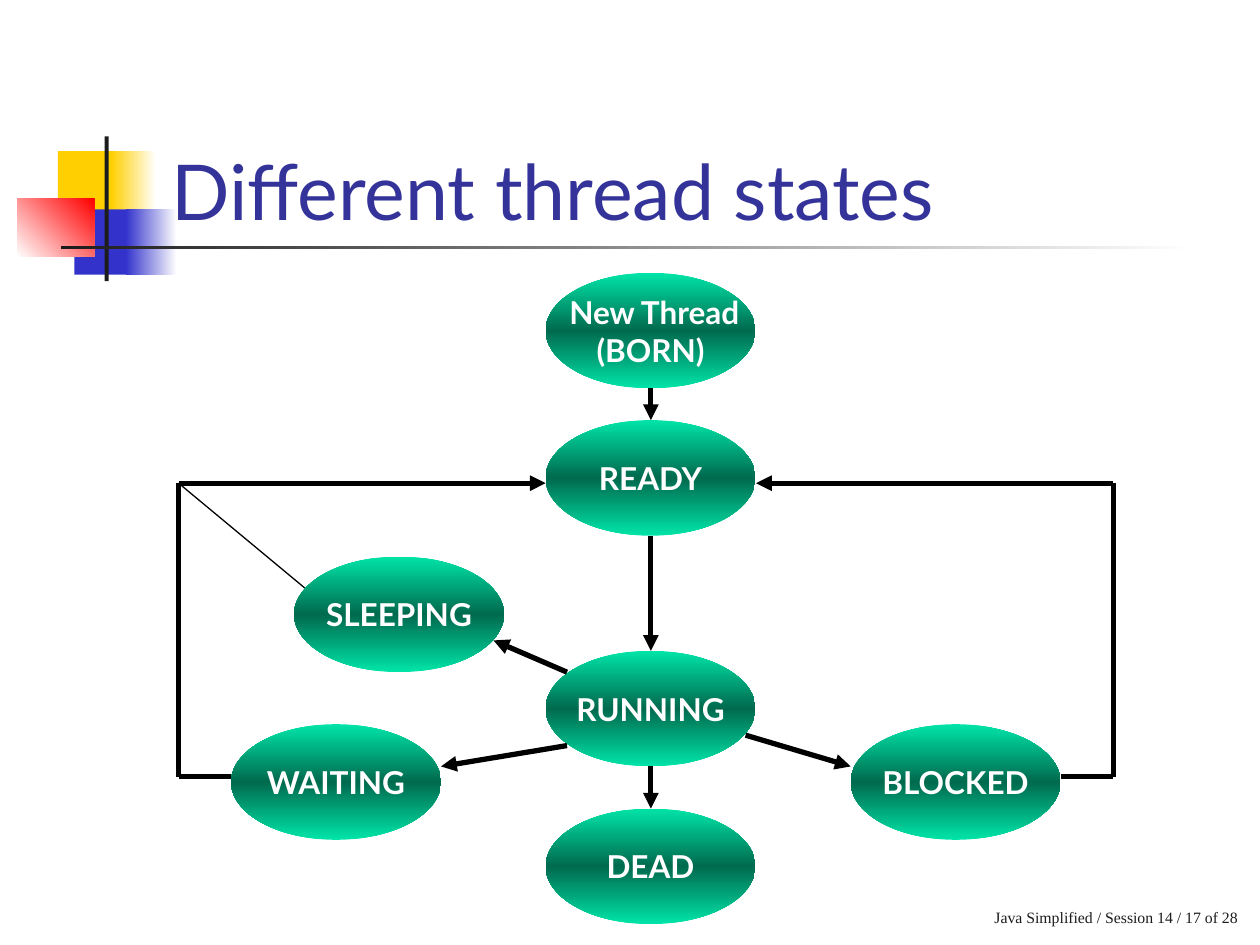
from lxml.etree import SubElement
from pptx import Presentation
from pptx.dml.color import RGBColor
from pptx.enum.shapes import MSO_CONNECTOR as Connector, MSO_SHAPE as Shape
from pptx.enum.text import MSO_ANCHOR as Anchor, MSO_AUTO_SIZE as AutoSize, PP_ALIGN as Align
from pptx.oxml.ns import qn
from pptx.util import Cm, Pt

rgb = RGBColor.from_string


def paint(shape, colors, angle=0):
    shape.shadow.inherit = False
    shape.line.fill.background()
    if len(colors) == 1:
        shape.fill.solid()
        shape.fill.fore_color.rgb = rgb(colors[0])
        return
    shape.fill.gradient()
    gradient = shape._element.spPr.find(qn("a:gradFill"))
    stops = gradient.find(qn("a:gsLst"))
    stops.clear()
    for index, color in enumerate(colors):
        position = index * 100000 // (len(colors) - 1)
        stop = SubElement(stops, qn("a:gs"), pos=str(position))
        SubElement(stop, qn("a:srgbClr"), val=color)
    gradient.find(qn("a:lin")).set("ang", str(angle * 60000))


def add_run(paragraph, text, size, font, color, bold=False):
    run = paragraph.add_run()
    run.text = text
    run.font.size = Pt(size)
    run.font.name = font
    run.font.bold = bold
    run.font.color.rgb = rgb(color)


presentation = Presentation()
presentation.slide_width = Cm(25.4)
presentation.slide_height = Cm(19.05)
slide = presentation.slides.add_slide(presentation.slide_layouts[5])

decorations = [
    (1.17, 3.05, 1.22, 1.32, ["FFCF01"], 0),
    (2.24, 3.05, 0.91, 1.32, ["FFCF01", "FFFFFF"], 0),
    (1.5, 4.22, 1.17, 1.32, ["3333CC"], 0),
    (2.54, 4.22, 1.02, 1.32, ["3333CC", "FFFFFF"], 0),
    (0.35, 4.01, 1.55, 1.17, ["FFFFFF", "FF0000"], 315),
    (2.11, 2.75, 0.08, 2.92, ["1C1C1C"], 0),
    (1.23, 4.95, 22.86, 0.08, ["1C1C1C", "FFFFFF"], 0),
]
for left, top, width, height, colors, angle in decorations:
    block = slide.shapes.add_shape(Shape.RECTANGLE, Cm(left), Cm(top), Cm(width), Cm(height))
    paint(block, colors, angle)

footer = slide.shapes.add_textbox(Cm(13.77), Cm(17.58), Cm(11.43), Cm(1.27))
footer.text_frame.word_wrap = True
footer.text_frame.vertical_anchor = Anchor.BOTTOM
paragraph = footer.text_frame.paragraphs[0]
paragraph.alignment = Align.RIGHT
paragraph.space_before = Pt(2.2)
add_run(paragraph, " ", 14, "Times New Roman", "1C1C1C")
add_run(paragraph, "Java Simplified / Session 14 / 17 of 28", 9, "Times New Roman", "1C1C1C")

title = slide.shapes.title
title.left, title.top, title.width, title.height = Cm(3.2), Cm(1.7), Cm(21.64), Cm(3.18)
title.text_frame.auto_size = AutoSize.NONE
title.text_frame.vertical_anchor = Anchor.BOTTOM
paragraph = title.text_frame.paragraphs[0]
paragraph.alignment = Align.LEFT
add_run(paragraph, "Different thread states", 44, "Lato", "333399")

states = [
    (11, 5.5, [" New Thread", "(BORN)"]),
    (11, 8.47, ["READY"]),
    (11, 13.12, ["RUNNING"]),
    (11, 16.3, ["DEAD"]),
    (5.93, 11.22, ["SLEEPING"]),
    (4.66, 14.6, ["WAITING"]),
    (17.15, 14.6, ["BLOCKED"]),
]
for left, top, lines in states:
    state = slide.shapes.add_shape(Shape.OVAL, Cm(left), Cm(top), Cm(4.23), Cm(2.33))
    paint(state, ["00E4A8", "006A4E", "00E4A8"], 90)
    frame = state.text_frame
    frame.word_wrap = False
    frame.vertical_anchor = Anchor.MIDDLE
    for index, line in enumerate(lines):
        paragraph = frame.add_paragraph() if index else frame.paragraphs[0]
        paragraph.alignment = Align.CENTER
        add_run(paragraph, line, 18, "Lato", "FFFFFF", True)

center, left_edge, right_edge = 13.12, 3.6, 22.44
return_top, return_bottom = 9.74, 15.66
transitions = [
    (center, 7.83, center, 8.47, 3, True),
    (center, 10.8, center, 13.12, 3, True),
    (center, 15.45, center, 16.3, 3, True),
    (11.43, 15.03, 8.89, 15.45, 3, True),
    (15.03, 14.82, 17.15, 15.45, 3, True),
    (11.43, 13.55, 9.95, 12.91, 3, True),
    (4.66, return_bottom, left_edge, return_bottom, 3, False),
    (left_edge, return_bottom, left_edge, return_top, 3, False),
    (left_edge, return_top, 11, return_top, 3, True),
    (right_edge, return_bottom, right_edge, return_top, 3, False),
    (right_edge, return_top, 15.24, return_top, 3, True),
    (21.38, return_bottom, right_edge, return_bottom, 3, False),
    (left_edge, return_top, 6.14, 11.85, 0.75, False),
]
for start_x, start_y, end_x, end_y, weight, has_arrow in transitions:
    connector = slide.shapes.add_connector(
        Connector.STRAIGHT, Cm(start_x), Cm(start_y), Cm(end_x), Cm(end_y))
    connector.line.width = Pt(weight)
    connector.line.color.rgb = rgb("000000")
    properties = connector._element.spPr
    if has_arrow:
        SubElement(properties.find(qn("a:ln")), qn("a:tailEnd"), type="triangle")
    SubElement(properties, qn("a:effectLst"))

presentation.save("out.pptx")
